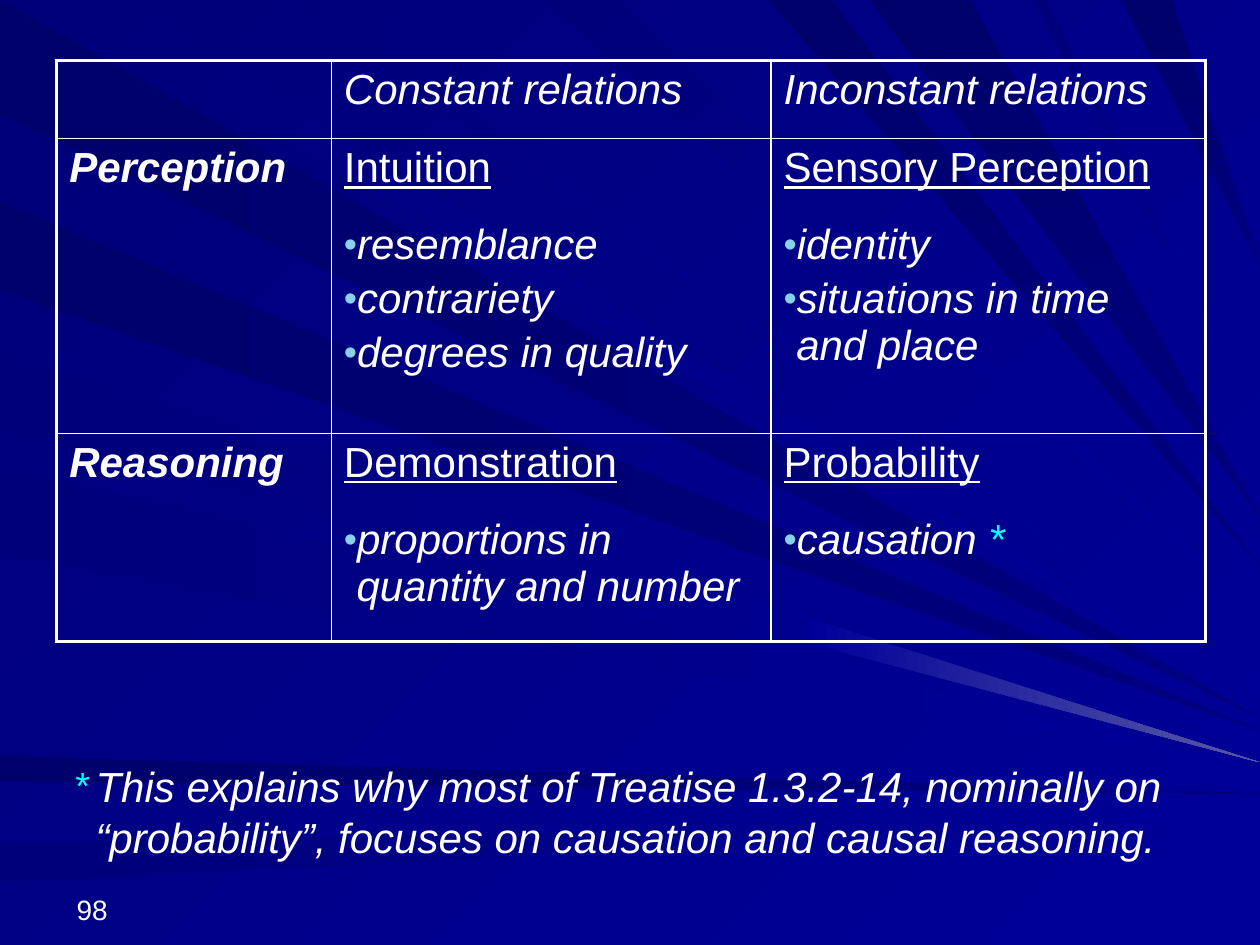
from pptx import Presentation
from pptx.dml.color import RGBColor
from pptx.enum.text import MSO_ANCHOR
from pptx.oxml.xmlchemy import OxmlElement
from pptx.util import Inches, Pt

COLORS = {"text": "FFFFFF", "border": "FFFFFF", "bullet": "86D1EC", "star": "00FFFF",
          "background": "000078", "blue": "000099", "shadow": "00006B", "navy": "000080",
          "ray": "00007B", "glow": "5A5AA6"}
FONT = "Arial"

LEFT_SHADOWS = [(0, 0.9, 5.7), (1.6, 2.3, 5.8), (6, 6.2, 6.3)]
LEFT_RAYS = [(2.8, 3.4, 6), (3.7, 4.4, 6.1), (6.7, 7, 6.5)]
TOP_SHADOWS = [(6.1, 6.6, 4.5), (6.9, 7.7, 4.1), (8.9, 9.3, 2.1)]
TOP_RAYS = [(0.3, 1, 5.6), (2.3, 2.5, 5.5), (4.3, 4.9, 4.9), (8.2, 8.3, 3.4)]

COLUMN_WIDTHS = [2.18, 3.49, 3.45]
ROW_HEIGHTS = [0.62, 2.34, 1.65]
COLUMN_HEADERS = ["Constant relations", "Inconstant relations"]
ROWS = [
    ("Perception", [("Intuition", ["resemblance", "contrariety", "degrees in quality"]),
                    ("Sensory Perception", ["identity", "situations in time\vand place"])]),
    ("Reasoning", [("Demonstration", ["proportions in\vquantity and number"]),
                   ("Probability", ["causation "])]),
]


def add_element(parent, tag, **attributes):
    """Append an XML element with the given attributes and return it."""
    element = OxmlElement(tag)
    for name, value in attributes.items():
        element.set(name, str(value))
    parent.append(element)
    return element


def paint(fill, start, end, angle):
    """Fill with a gradient between two named colours at a clockwise angle."""
    fill.gradient()
    fill.gradient_angle = -angle % 360
    for stop, color in zip(fill.gradient_stops, (start, end)):
        stop.color.rgb = RGBColor.from_string(COLORS[color])


def format_run(run, size=24, color="text", bold=False, italic=False, underline=False):
    """Apply the slide's font settings to a run."""
    font = run.font
    font.name, font.size = FONT, Pt(size)
    font.bold, font.italic, font.underline = bold, italic, underline
    font.color.rgb = RGBColor.from_string(COLORS[color])


def write_paragraph(paragraph, text, space=0, **style):
    """Set the text of a paragraph and format its runs."""
    paragraph.text = text
    paragraph.space_before = Pt(space)
    for run in paragraph.runs:
        format_run(run, **style)


def add_bullet(paragraph, character, color, indent):
    """Give a paragraph a coloured bullet with a hanging indent."""
    properties = paragraph._p.get_or_add_pPr()
    properties.set("marL", str(Inches(indent)))
    properties.set("indent", str(-Inches(indent)))
    add_element(add_element(properties, "a:buClr"), "a:srgbClr", val=COLORS[color])
    add_element(properties, "a:buSzPct", val=90000)
    add_element(properties, "a:buFont", typeface=FONT)
    add_element(properties, "a:buChar", char=character)


def add_ray(slide, points, start, end, angle):
    """Draw one triangular ray of light."""
    vertices = [(Inches(x), Inches(y)) for x, y in points]
    builder = slide.shapes.build_freeform(*vertices[0])
    builder.add_line_segments(vertices[1:], close=True)
    ray = builder.convert_to_shape()
    ray.shadow.inherit = False
    ray.line.fill.background()
    paint(ray.fill, start, end, angle)


def add_background(slide, right):
    """Draw the background gradient and the rays that run to the right edge."""
    paint(slide.background.fill, "background", "blue", 45)
    for rays, start, end in ((LEFT_SHADOWS, "shadow", "navy"), (LEFT_RAYS, "ray", "blue")):
        for upper, lower, tip in rays:
            add_ray(slide, [(0, upper), (0, lower), (right, tip)], start, end, 0)
    for rays, start, end, angle in ((TOP_SHADOWS, "shadow", "navy", 90),
                                    (TOP_RAYS, "ray", "blue", 45)):
        for near, far, tip in rays:
            add_ray(slide, [(near, 0), (far, 0), (right, tip)], start, end, angle)
    add_ray(slide, [(6.4, 4.9), (6.4, 5.1), (right, 6.05)], "blue", "glow", 0)


def style_cell(cell, row, column):
    """Clear the cell's fill and draw thick outer and thin inner borders."""
    properties = cell._tc.get_or_add_tcPr()
    outer_sides = {"L": column == 0, "R": column == len(COLUMN_WIDTHS) - 1,
                   "T": row == 0, "B": row == len(ROW_HEIGHTS) - 1}
    for side, is_outer in outer_sides.items():
        line = add_element(properties, f"a:ln{side}", w=Pt(2.25 if is_outer else 1))
        add_element(add_element(line, "a:solidFill"), "a:srgbClr", val=COLORS["border"])
    cell.fill.background()


def fill_topic_cell(cell, heading, items):
    """Write an underlined heading with a bullet list below it."""
    frame = cell.text_frame
    write_paragraph(frame.paragraphs[0], heading, underline=True)
    for index, item in enumerate(items):
        paragraph = frame.add_paragraph()
        write_paragraph(paragraph, item, space=4 if index else 17, italic=True)
        add_bullet(paragraph, "•", "bullet", 0.1)


def add_relations_table(slide, left, top):
    """Add the table of relations."""
    frame = slide.shapes.add_table(len(ROW_HEIGHTS), len(COLUMN_WIDTHS), left, top,
                                   Inches(sum(COLUMN_WIDTHS)), Inches(sum(ROW_HEIGHTS)))
    table = frame.table
    table.first_row = table.horz_banding = False
    for column, width in zip(table.columns, COLUMN_WIDTHS):
        column.width = Inches(width)
    for row_index, height in enumerate(ROW_HEIGHTS):
        table.rows[row_index].height = Inches(height)
        for column_index in range(len(COLUMN_WIDTHS)):
            style_cell(table.cell(row_index, column_index), row_index, column_index)
    for column_index, header in enumerate(COLUMN_HEADERS, 1):
        write_paragraph(table.cell(0, column_index).text_frame.paragraphs[0], header, italic=True)
    for row_index, (label, topics) in enumerate(ROWS, 1):
        write_paragraph(table.cell(row_index, 0).text_frame.paragraphs[0], label,
                        bold=True, italic=True)
        for column_index, (heading, items) in enumerate(topics, 1):
            fill_topic_cell(table.cell(row_index, column_index), heading, items)
    star = table.cell(2, 2).text_frame.paragraphs[-1].add_run()
    star.text = "*"
    format_run(star, color="star", italic=True)


def add_text(slide, left, top, width, height, text, anchor=MSO_ANCHOR.TOP, **style):
    """Add a wrapped text box and return its paragraph."""
    frame = slide.shapes.add_textbox(left, top, width, height).text_frame
    frame.word_wrap = True
    frame.vertical_anchor = anchor
    write_paragraph(frame.paragraphs[0], text, **style)
    return frame.paragraphs[0]


def main():
    """Build the slide and save it."""
    presentation = Presentation()
    presentation.slide_width, presentation.slide_height = Inches(10), Inches(7.5)
    slide = presentation.slides.add_slide(presentation.slide_layouts[6])
    add_background(slide, 10)
    add_text(slide, Inches(0.51), Inches(6.9), Inches(2.33), Inches(0.5), "98",
             MSO_ANCHOR.BOTTOM, size=16)
    add_relations_table(slide, Inches(0.45), Inches(0.48))
    footnote = add_text(
        slide, Inches(0.5), Inches(5.99), Inches(9.15), Inches(1.02),
        "This explains why most of Treatise 1.3.2-14, nominally on “probability”, "
        "focuses on causation and causal reasoning.", space=2, italic=True)
    add_bullet(footnote, "*", "star", 0.16)
    presentation.save("out.pptx")


if __name__ == "__main__":
    main()
